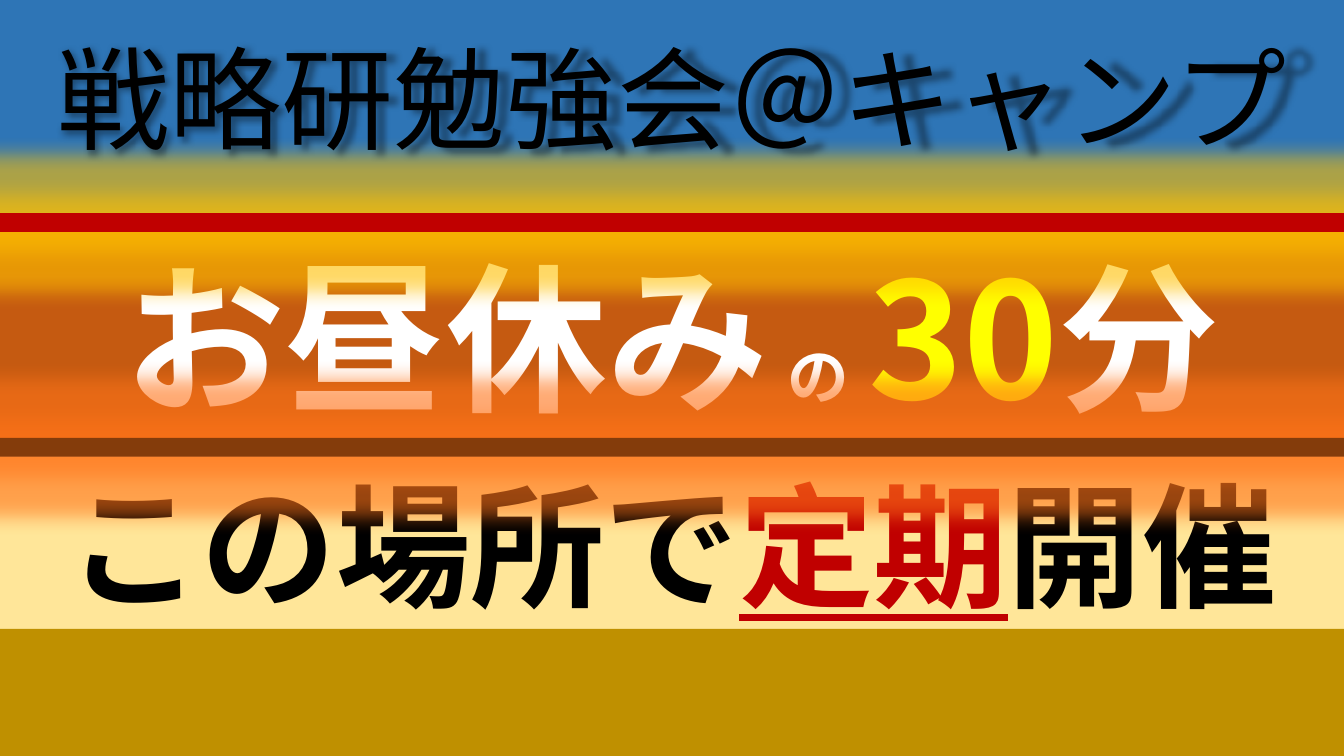
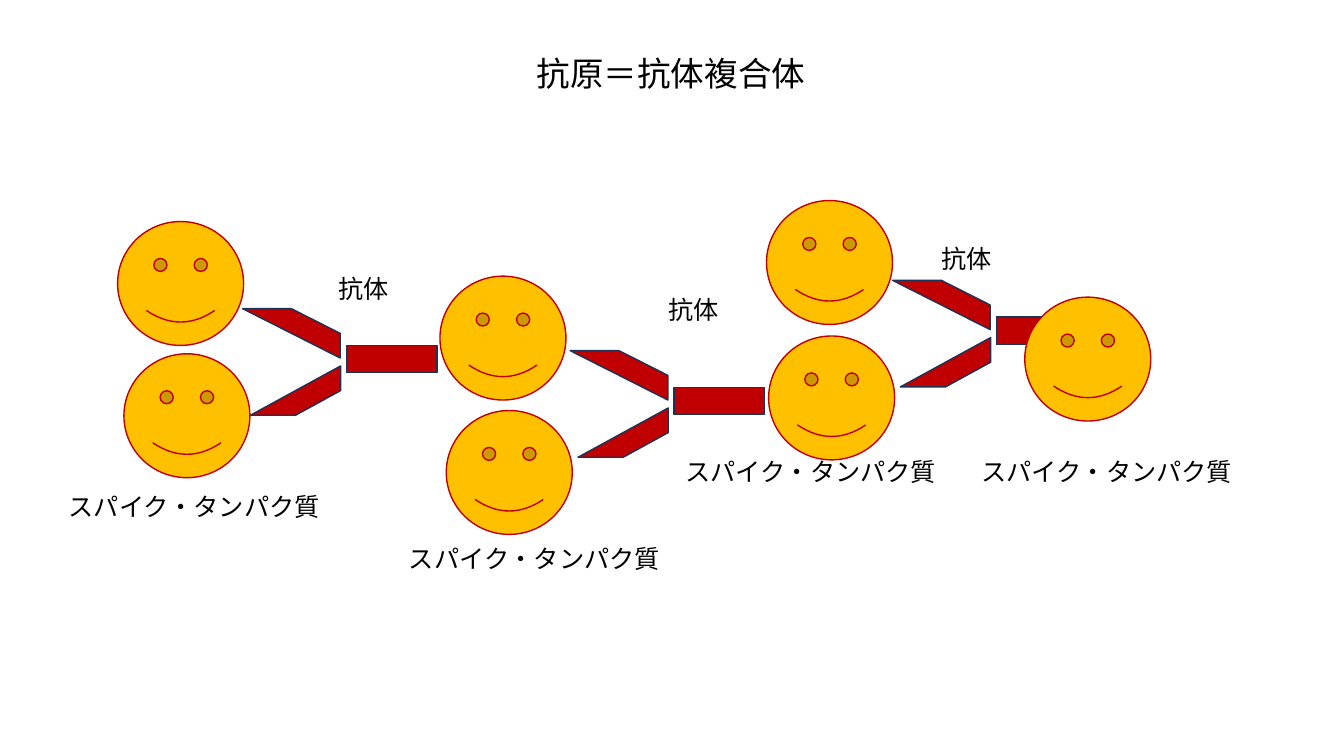
from typing import NamedTuple

from lxml import etree
from pptx import Presentation
from pptx.dml.color import RGBColor
from pptx.enum.shapes import MSO_SHAPE as Preset
from pptx.enum.text import MSO_ANCHOR as Anchor, MSO_AUTO_SIZE as AutoSize, PP_ALIGN as Align
from pptx.oxml.ns import qn
from pptx.util import Pt

PX = 9525
WIDTH, HEIGHT = 1280, 720
FONT = "Noto Sans CJK JP"
TITLE_ONLY = 5
COLORS = {
    "blue": "2E75B6", "orange": "C55A11", "cream": "FFE699", "red": "C00000",
    "brown": "843C0B", "ochre": "BF9000", "amber": "FFC000", "ember": "FF7419",
    "navy": "1E3256", "white": "FFFFFF", "yellow": "FFFF00", "black": "000000",
}


class Box(NamedTuple):
    left: int
    top: int
    width: int
    height: int

    def emu(self) -> tuple[int, ...]:
        return tuple(length * PX for length in self)


class Span(NamedTuple):
    text: str
    size: int
    color: str = "black"
    bold: bool = False
    underline: bool = False


class Band(NamedTuple):
    top: int
    height: int
    color: str
    spans: tuple[Span, ...] = ()
    glow: str = ""


class Part(NamedTuple):
    preset: Preset
    box: Box
    mirrored: bool = False


class Label(NamedTuple):
    text: str
    box: Box


BANDS = (
    Band(0, 397, "blue"),
    Band(221, 196, "orange", (
        Span("お昼休み", 115, "white", True),
        Span(" ", 60, "white", True),
        Span("の", 44, "white", True),
        Span(" ", 60, "white", True),
        Span("30", 115, "yellow", True),
        Span("分", 115, "white", True),
    )),
    Band(435, 165, "cream", (
        Span("この場所で", 96, bold=True),
        Span("定期", 96, "red", True, True),
        Span("開催", 96, bold=True),
    )),
    Band(203, 18, "red", glow="amber"),
    Band(417, 18, "brown", glow="ember"),
    Band(599, 121, "ochre"),
)

# Parts of one antibody, measured from its upper arm before rotation.
ANTIBODY = (
    Part(Preset.RECTANGLE, Box(106, 28, 26, 86)),
    Part(Preset.DIAGONAL_STRIPE, Box(0, 0, 47, 93)),
    Part(Preset.DIAGONAL_STRIPE, Box(4, 58, 47, 86), True),
)
ANTIBODY_ORIGINS = ((254, 271), (566, 311), (873, 244))
SPIKE_ORIGINS = ((112, 211), (118, 337), (419, 263), (425, 391),
                 (730, 191), (732, 320), (976, 283))
SPIKE_LABELS = ((56, 463), (380, 513), (643, 430), (925, 430))
ANTIBODY_LABELS = ((302, 256), (616, 276), (876, 227))
LABELS = (
    [Label("スパイク・タンパク質", Box(*origin, 258, 38)) for origin in SPIKE_LABELS]
    + [Label("抗体", Box(*origin, 89, 38)) for origin in ANTIBODY_LABELS]
)


def rgb(name: str) -> RGBColor:
    return RGBColor.from_string(COLORS[name])


def write(shape, spans: tuple[Span, ...], anchor: Anchor) -> None:
    frame = shape.text_frame
    frame.word_wrap = True
    frame.auto_size = AutoSize.NONE
    frame.vertical_anchor = anchor
    frame.margin_left = frame.margin_right = 0
    para = frame.paragraphs[0]
    para.alignment = Align.CENTER
    for span in spans:
        run = para.add_run()
        run.text = span.text
        font = run.font
        font.size = Pt(span.size)
        font.bold = span.bold
        font.underline = span.underline
        font.color.rgb = rgb(span.color)
        font.name = FONT
        east_asian = etree.Element(qn("a:ea"), typeface=FONT)
        font._element.find(qn("a:latin")).addnext(east_asian)


def add_effect(shape, tag: str, color: str, opacity: int, **settings: str) -> None:
    """Give the shape a single glow or shadow; opacity is in percent."""
    shape.shadow.inherit = False
    effects = shape._element.spPr.find(qn("a:effectLst"))
    effect = etree.SubElement(effects, qn(tag), **settings)
    tint = etree.SubElement(effect, qn("a:srgbClr"), val=COLORS[color])
    etree.SubElement(tint, qn("a:alpha"), val=str(opacity * 1000))


def add_preset(shapes, preset: Preset, box: Box, fill: str, line: str = ""):
    shape = shapes.add_shape(preset, *box.emu())
    shape.shadow.inherit = False
    shape.fill.solid()
    shape.fill.fore_color.rgb = rgb(fill)
    if line:
        shape.line.color.rgb = rgb(line)
        shape.line.width = Pt(1)
    else:
        shape.line.fill.background()
    return shape


def place_title(slide, text: str, box: Box, size: int):
    """Fill the title placeholder and bring it in front of the other shapes."""
    title = slide.shapes.title
    title.left, title.top, title.width, title.height = box.emu()
    write(title, (Span(text, size),), Anchor.TOP)
    slide.shapes._spTree.append(title._element)
    return title


def add_band(slide, band: Band) -> None:
    box = Box(0, band.top, WIDTH, band.height)
    shape = add_preset(slide.shapes, Preset.RECTANGLE, box, band.color)
    if band.spans:
        write(shape, band.spans, Anchor.MIDDLE)
    if band.glow:
        add_effect(shape, "a:glow", band.glow, 60, rad=str(38 * PX))


def add_antibody(slide, left: int, top: int) -> None:
    group = slide.shapes.add_group_shape()
    for part in ANTIBODY:
        box = part.box._replace(left=left + part.box.left, top=top + part.box.top)
        shape = add_preset(group.shapes, part.preset, box, "red", "navy")
        shape.rotation = 90
        if part.mirrored:
            shape._element.spPr.find(qn("a:xfrm")).set("flipH", "1")


def add_label(slide, label: Label) -> None:
    write(slide.shapes.add_textbox(*label.box.emu()), (Span(label.text, 18),), Anchor.TOP)


def build_announcement(deck) -> None:
    slide = deck.slides.add_slide(deck.slide_layouts[TITLE_ONLY])
    for band in BANDS:
        add_band(slide, band)
    title = place_title(slide, "戦略研勉強会＠キャンプ", Box(0, 23, WIDTH, 139), 80)
    add_effect(title, "a:outerShdw", "black", 40, blurRad=str(Pt(5)),
               sx="102000", sy="102000", algn="ctr", rotWithShape="0")


def build_complex(deck) -> None:
    slide = deck.slides.add_slide(deck.slide_layouts[TITLE_ONLY])
    for origin in ANTIBODY_ORIGINS:
        add_antibody(slide, *origin)
    for origin in SPIKE_ORIGINS:
        add_preset(slide.shapes, Preset.SMILEY_FACE, Box(*origin, 120, 118), "amber", "red")
    for label in LABELS:
        add_label(slide, label)
    place_title(slide, "抗原＝抗体複合体", Box(367, 46, 544, 48), 24)


def main() -> None:
    deck = Presentation()
    deck.slide_width, deck.slide_height = WIDTH * PX, HEIGHT * PX
    build_announcement(deck)
    build_complex(deck)
    deck.save("out.pptx")


if __name__ == "__main__":
    main()
